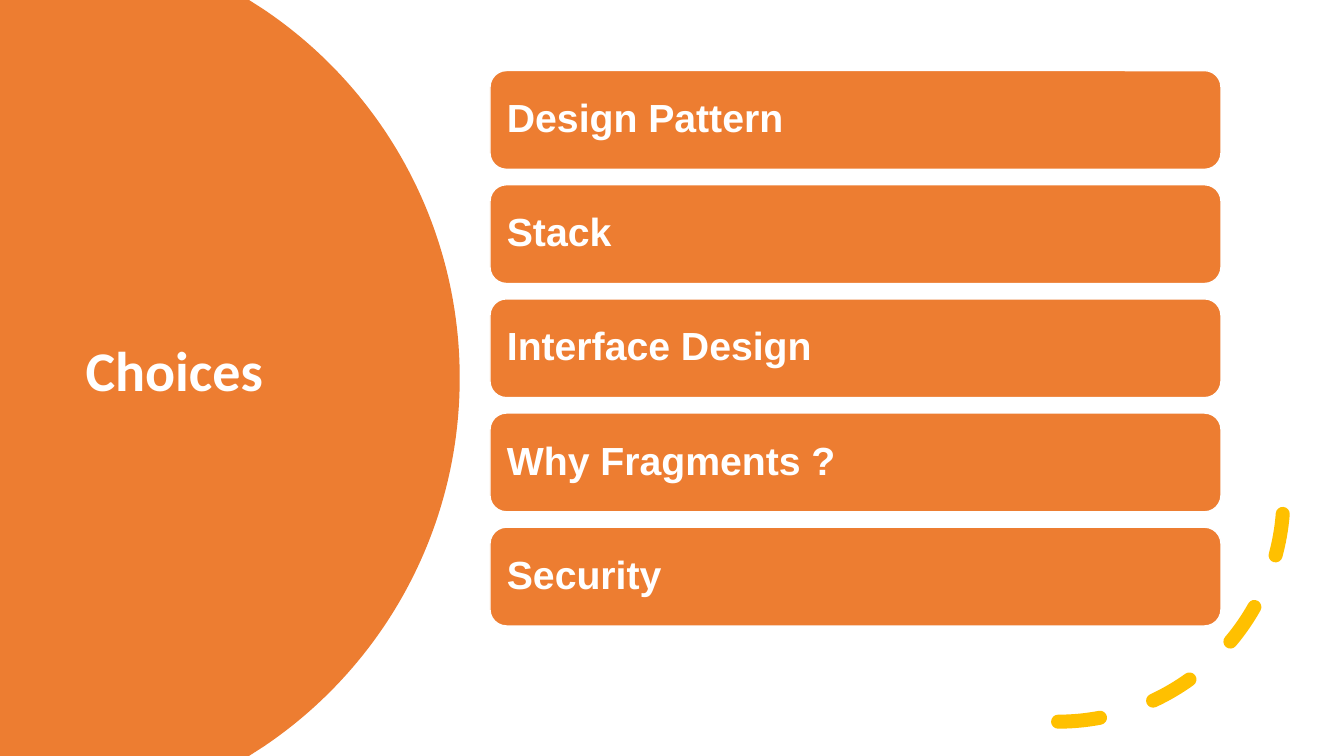
from lxml import etree
from pptx import Presentation
from pptx.dml.color import RGBColor
from pptx.enum.dml import MSO_LINE
from pptx.enum.shapes import MSO_SHAPE
from pptx.enum.text import MSO_ANCHOR, PP_ALIGN
from pptx.oxml.ns import qn
from pptx.util import Inches, Pt

COLORS = {"orange": "ED7D31", "yellow": "FFC000", "white": "FFFFFF"}
CHOICES = ["Design Pattern", "Stack", "Interface Design", "Why Fragments ?", "Security"]
SLIDE_WIDTH, SLIDE_HEIGHT = 13.33, 7.5


def color(name):
    return RGBColor.from_string(COLORS[name])


def fill_shape(shape, name):
    shape.shadow.inherit = False
    shape.fill.solid()
    shape.fill.fore_color.rgb = color(name)


def write_text(shape, text, font_name, size, side_inset):
    frame = shape.text_frame
    frame.word_wrap = True
    frame.vertical_anchor = MSO_ANCHOR.MIDDLE
    frame.margin_left = frame.margin_right = Inches(side_inset)
    para = frame.paragraphs[0]
    para.text = text
    para.alignment = PP_ALIGN.LEFT
    para.line_spacing = 0.9
    para.font.name = font_name
    para.font.size = Pt(size)
    para.font.bold = True
    para.font.color.rgb = color("white")


def curve_segments(shape, first, count):
    """Turn each three of the outline's line segments into one Bezier curve."""
    lines = list(shape._element.iter(qn("a:lnTo")))[first:first + 3 * count]
    for start in range(0, len(lines), 3):
        curve = etree.Element(qn("a:cubicBezTo"))
        lines[start].addprevious(curve)
        for line in lines[start:start + 3]:
            curve.append(line[0])
            line.getparent().remove(line)


def add_circle_panel(page):
    """Fill the slide's left side up to a circle cut by its top and bottom."""
    middle = SLIDE_HEIGHT / 2
    upper = [(2.47, 0), (2.61, 0.09), (3.79, 0.88), (4.56, 2.23)]
    lower = [(x, SLIDE_HEIGHT - y) for x, y in reversed(upper)]
    outline = upper + [(4.56, middle)] + lower + [(0, SLIDE_HEIGHT)]
    builder = page.shapes.build_freeform(0, 0)
    builder.add_line_segments([(Inches(x), Inches(y)) for x, y in outline], close=True)
    panel = builder.convert_to_shape()
    curve_segments(panel, first=2, count=2)
    fill_shape(panel, "orange")
    panel.line.fill.background()


def add_title(page, text):
    box = page.shapes.add_textbox(Inches(0.75), Inches(1.26), Inches(3.5), Inches(4.88))
    write_text(box, text, "Calibri", 40, 0.1)


def add_dashed_arc(page, left, top, size):
    arc = page.shapes.add_shape(
        MSO_SHAPE.ARC, Inches(left), Inches(top), Inches(size), Inches(size))
    arc.shadow.inherit = False
    arc.fill.background()
    arc.line.color.rgb = color("yellow")
    arc.line.width = Pt(10)
    arc.line.dash_style = MSO_LINE.DASH
    # Round dash ends, and a flip to the lower right quarter
    arc.line._get_or_add_ln().set("cap", "rnd")
    arc._element.spPr.xfrm.set("flipV", "1")


def add_choice(page, text, top):
    bar = page.shapes.add_shape(
        MSO_SHAPE.ROUNDED_RECTANGLE, Inches(4.86), Inches(top), Inches(7.25), Inches(0.98))
    fill_shape(bar, "orange")
    bar.line.color.rgb = color("white")
    bar.line.width = Pt(1)
    write_text(bar, text, "Arial", 28, 0.12)


def main():
    deck = Presentation()
    deck.slide_width, deck.slide_height = Inches(SLIDE_WIDTH), Inches(SLIDE_HEIGHT)
    page = deck.slides.add_slide(deck.slide_layouts[6])

    # Left panel with the title
    add_circle_panel(page)
    add_title(page, "Choices")

    # Corner decoration
    add_dashed_arc(page, left=8.26, top=2.69, size=4.47)

    # Evenly spaced list of choices
    first_top, last_top = 0.7, 5.23
    pitch = (last_top - first_top) / (len(CHOICES) - 1)
    for index, choice in enumerate(CHOICES):
        add_choice(page, choice, first_top + index * pitch)

    deck.save("out.pptx")


if __name__ == "__main__":
    main()
